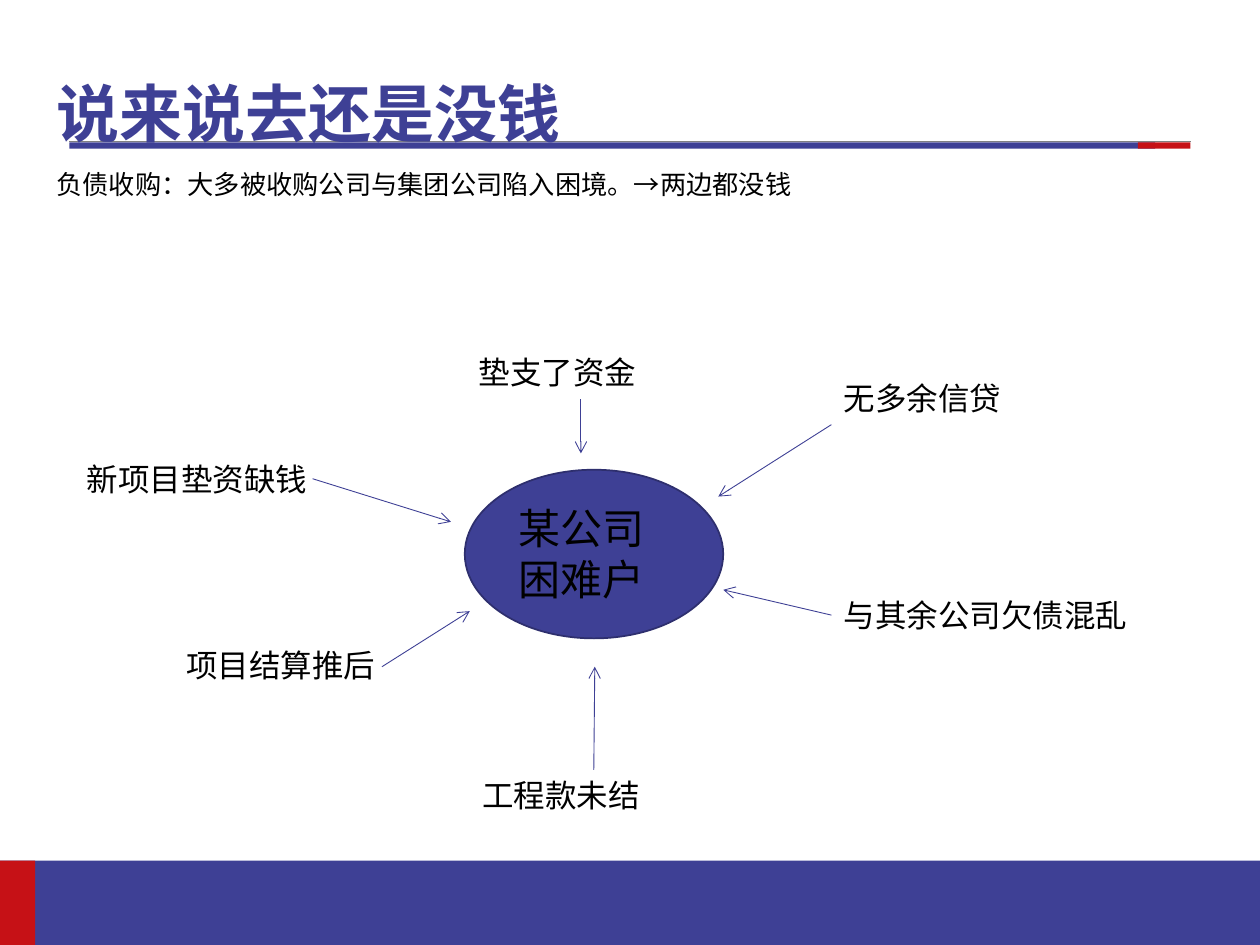
import pptx
import pptx.util
import pptx.dml.color
import pptx.enum.shapes
import pptx.enum.text
import pptx.oxml
import pptx.oxml.ns
from pptx.util import Cm

THEME = {
    "blue": "3E4095", "red": "C61116", "edge": "2E2F6E", "grey": "808080", "ink": "000000",
    "font": "Arial", "title": 36, "body": 15, "centre": 24, "label": 18,
}

TITLE = "说来说去还是没钱"
SUMMARY = "负债收购：大多被收购公司与集团公司陷入困境。→两边都没钱"
CENTRE = ["某公司", "困难户"]

# All lengths are centimetres: left, top, width, height
TITLE_BOX = (0.89, 0, 22.86, 3.18)
SUMMARY_BOX = (0.89, 3.33, 22.86, 12.57)
ELLIPSE_BOX = (9.37, 9.47, 5.21, 3.4)
CENTRE_BOX = (10.21, 10.01, 3.81, 2.31)
RULE = ((1.4, 2.84), (24, 2.84))
BARS = [
    ("blue", (0, 17.35, 25.4, 1.7)),
    ("red", (0, 17.35, 0.71, 1.7)),
    ("blue", (1.4, 2.87, 21.89, 0.13)),
    ("red", (22.94, 2.87, 1.06, 0.13)),
]
LABEL_HEIGHT = 1.02
# text, left, top, width, wraps, arrow start, arrow end, label side joined to the arrow
CAUSES = [
    ("垫支了资金", 9.4, 6.99, 3.71, False, (11.71, 8.05), (11.71, 9.14), None),
    ("新项目垫资缺钱", 1.5, 9.14, 5.18, True, (6.3, 9.65), (9.09, 10.52), None),
    ("项目结算推后", 3.51, 12.9, 4.6, True, (7.7, 13.44), (9.47, 12.32), None),
    ("无多余信贷", 16.76, 7.52, 5.41, True, (16.76, 8.56), (14.48, 10.01), None),
    ("与其余公司欠债混乱", 16.76, 11.89, 6.27, False, (16.76, 12.4), (14.58, 11.89), 1),
    ("工程款未结", 9.47, 15.52, 5, True, (11.99, 15.52), (11.99, 13.44), 0),
]


def color(name):
    return pptx.dml.color.RGBColor.from_string(THEME[name])


def write(shape, lines, size, ink="ink", bold=False, wrap=True, **paragraph_format):
    frame = shape.text_frame
    frame.word_wrap = wrap
    frame.text = "\n".join(lines)
    font_format = {"name": THEME["font"], "size": pptx.util.Pt(THEME[size]), "bold": bold}
    for paragraph in frame.paragraphs:
        paragraph.alignment = pptx.enum.text.PP_ALIGN.LEFT
        for key, value in paragraph_format.items():
            setattr(paragraph, key, value)
        for key, value in font_format.items():
            setattr(paragraph.font, key, value)
        paragraph.font.color.rgb = color(ink)


def add_text(slide, box, lines, size, **options):
    shape = slide.shapes.add_textbox(*map(Cm, box))
    write(shape, lines, size, **options)
    return shape


def add_filled(slide, kind, box, fill, edge=None):
    shape = slide.shapes.add_shape(kind, *map(Cm, box))
    shape.shadow.inherit = False
    shape.fill.solid()
    shape.fill.fore_color.rgb = color(fill)
    if edge:
        shape.line.color.rgb = color(edge)
        shape.line.width = pptx.util.Pt(1)
    else:
        shape.line.fill.background()


def add_line(slide, start, end, ink, width, arrow=False):
    straight = pptx.enum.shapes.MSO_CONNECTOR.STRAIGHT
    line = slide.shapes.add_connector(straight, *map(Cm, start + end))
    line.line.color.rgb = color(ink)
    line.line.width = pptx.util.Pt(width)
    if arrow:
        tail = pptx.oxml.parse_xml(
            f'<a:tailEnd {pptx.oxml.ns.nsdecls("a")} type="arrow"/>')
        line.line._get_or_add_ln().append(tail)
    properties = line.element.spPr
    properties.append(pptx.oxml.parse_xml(f'<a:effectLst {pptx.oxml.ns.nsdecls("a")}/>'))
    return line


def main():
    presentation = pptx.Presentation()
    presentation.slide_width, presentation.slide_height = Cm(25.4), Cm(19.05)
    slide = presentation.slides.add_slide(presentation.slide_layouts[5])
    shape_kinds = pptx.enum.shapes.MSO_SHAPE

    add_line(slide, *RULE, "grey", 0.25)
    for fill, box in BARS:
        add_filled(slide, shape_kinds.RECTANGLE, box, fill)

    title = slide.shapes.title
    title.left, title.top, title.width, title.height = map(Cm, TITLE_BOX)
    write(title, [TITLE], "title", ink="blue", bold=True, line_spacing=0.9)
    title.text_frame.vertical_anchor = pptx.enum.text.MSO_ANCHOR.BOTTOM
    title.element.getparent().append(title.element)  # in front of the rule

    add_text(slide, SUMMARY_BOX, [SUMMARY], "body", line_spacing=0.9)
    add_filled(slide, shape_kinds.OVAL, ELLIPSE_BOX, "blue", edge="edge")
    add_text(slide, CENTRE_BOX, CENTRE, "centre")

    for text, left, top, width, wrap, start, end, side in CAUSES:
        label = add_text(slide, (left, top, width, LABEL_HEIGHT), [text], "label", wrap=wrap)
        arrow = add_line(slide, start, end, "blue", 0.5, arrow=True)
        if side is not None:
            arrow.begin_connect(label, side)

    presentation.save("out.pptx")


if __name__ == "__main__":
    main()
